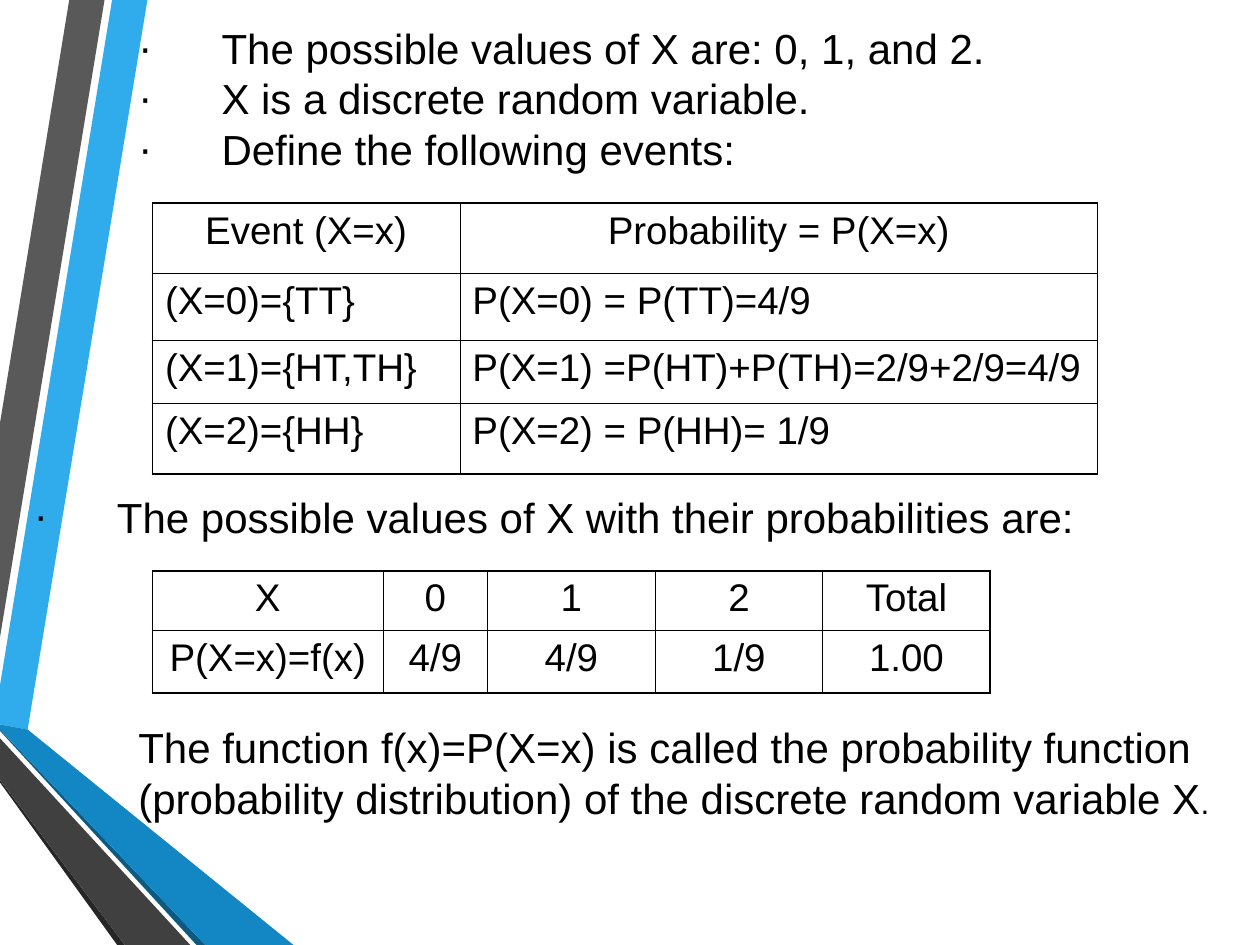
from dataclasses import dataclass
from itertools import product

from lxml.etree import SubElement
from pptx import Presentation
from pptx.dml.color import RGBColor
from pptx.enum.text import MSO_AUTO_SIZE as AutoSize, PP_ALIGN as Align
from pptx.oxml.ns import qn
from pptx.util import Emu, Inches, Pt

# The slide is a grid of 100 columns by 75 rows with square cells
COLUMNS, ROWS = 100, 75
CELL = Inches(10) // COLUMNS


@dataclass(frozen=True)
class Theme:
    font: str = "Arial"
    ink: str = "000000"
    body_size: float = 24
    table_size: float = 22
    small_size: float = 18
    outer_line: float = 1.08
    inner_line: float = 0.45
    hanging: float = 6.6  # grid columns from bullet to text


@dataclass(frozen=True)
class Ribbon:
    color: str
    points: tuple[tuple[float, float], ...]


@dataclass(frozen=True)
class TextBlock:
    column: float
    row: float
    width: float
    height: float
    lines: tuple[str, ...]
    bulleted: bool = True
    small_ending: str = ""


@dataclass(frozen=True)
class Grid:
    column: float
    row: float
    widths: tuple[float, ...]
    heights: tuple[float, ...]
    values: tuple[tuple[str, ...], ...]
    centered_rows: int


THEME = Theme()

RIBBONS = (
    Ribbon("30ACEC", ((0, 54.4), (0, 57.5), (2.2, 57.9), (11.7, 0), (8.9, 0))),
    Ribbon("595959", ((8.3, 0), (5.5, 0), (0, 33.6), (0, 50.6))),
    Ribbon("262626", ((0, 61.9), (0, 62.1), (9.3, 75), (9.9, 75))),
    Ribbon("0C5A82", ((0, 57.9), (0, 58), (15.6, 75), (16.3, 75))),
    Ribbon("1287C3", ((0, 57.9), (16.3, 75), (23.3, 75), (2.2, 57.9), (0, 57.5))),
    Ribbon("404040", ((0, 61.9), (9.9, 75), (15.1, 75), (0, 58.6))),
)

TEXT_BLOCKS = (
    TextBlock(10, 1.3, 85.8, 13, (
        "The possible values of X are: 0, 1, and 2.",
        "X is a discrete random variable.",
        "Define the following events:",
    )),
    TextBlock(1.7, 38.5, 95.8, 5,
              ("The possible values of X with their probabilities are:",)),
    TextBlock(10, 56.8, 93.3, 9, (
        "The function f(x)=P(X=x) is called the probability function",
        "(probability distribution) of the discrete random variable X",
    ), bulleted=False, small_ending="."),
)

TABLES = (
    Grid(12.1, 16.1, (24.4, 50.6), (5.6, 5.3, 5, 5.6), (
        ("Event (X=x)", "Probability = P(X=x)"),
        ("(X=0)={TT}", "P(X=0) = P(TT)=4/9"),
        ("(X=1)={HT,TH}", "P(X=1) =P(HT)+P(TH)=2/9+2/9=4/9"),
        ("(X=2)={HH}", "P(X=2) = P(HH)= 1/9"),
    ), centered_rows=1),
    Grid(12.1, 45.3, (18.3, 8.3, 13.3, 13.3, 13.3), (4.7, 5), (
        ("X", "0", "1", "2", "Total"),
        ("P(X=x)=f(x)", "4/9", "4/9", "1/9", "1.00"),
    ), centered_rows=2),
)


def cells(count: float) -> Emu:
    """Turn a number of grid cells into a length."""
    return Emu(round(count * CELL))


def write(para, text: str, *, size: float, align=None) -> None:
    if align is not None:
        para.alignment = align
    span = para.add_run()
    span.text = text
    span.font.name = THEME.font
    span.font.size = Pt(size)
    span.font.color.rgb = RGBColor.from_string(THEME.ink)


def add_bullet(para) -> None:
    props = para._p.get_or_add_pPr()
    props.set("marL", str(cells(THEME.hanging)))
    props.set("indent", str(-cells(THEME.hanging)))
    SubElement(props, qn("a:buFont"), typeface=THEME.font)
    SubElement(props, qn("a:buChar"), char="·")


def draw_ribbon(slide, ribbon: Ribbon) -> None:
    start, *rest = [(cells(x), cells(y)) for x, y in ribbon.points]
    builder = slide.shapes.build_freeform(*start)
    builder.add_line_segments(rest, close=True)
    shape = builder.convert_to_shape()
    shape.shadow.inherit = False
    shape.fill.solid()
    shape.fill.fore_color.rgb = RGBColor.from_string(ribbon.color)
    shape.line.fill.background()


def draw_text(slide, block: TextBlock) -> None:
    box = slide.shapes.add_textbox(cells(block.column), cells(block.row),
                                   cells(block.width), cells(block.height))
    frame = box.text_frame
    frame.word_wrap = True
    frame.auto_size = AutoSize.SHAPE_TO_FIT_TEXT
    for index, line in enumerate(block.lines):
        para = frame.add_paragraph() if index else frame.paragraphs[0]
        if block.bulleted:
            add_bullet(para)
        write(para, line, size=THEME.body_size, align=Align.JUSTIFY)
    if block.small_ending:
        write(para, block.small_ending, size=THEME.small_size)


def set_borders(cell, outer_sides: dict[str, bool]) -> None:
    props = cell._tc.get_or_add_tcPr()
    for side, is_outer in outer_sides.items():
        width = THEME.outer_line if is_outer else THEME.inner_line
        line = SubElement(props, qn(f"a:ln{side}"), w=str(Pt(width)))
        fill = SubElement(line, qn("a:solidFill"))
        SubElement(fill, qn("a:srgbClr"), val=THEME.ink)


def draw_table(slide, grid: Grid) -> None:
    row_count, column_count = len(grid.heights), len(grid.widths)
    table = slide.shapes.add_table(
        row_count, column_count, cells(grid.column), cells(grid.row),
        cells(sum(grid.widths)), cells(sum(grid.heights))).table
    table.first_row = table.horz_banding = False
    for column, width in zip(table.columns, grid.widths):
        column.width = cells(width)
    for row, height in zip(table.rows, grid.heights):
        row.height = cells(height)
    for r, c in product(range(row_count), range(column_count)):
        cell = table.cell(r, c)
        set_borders(cell, {"L": c == 0, "R": c == column_count - 1,
                           "T": r == 0, "B": r == row_count - 1})
        cell.fill.background()
        write(cell.text_frame.paragraphs[0], grid.values[r][c], size=THEME.table_size,
              align=Align.CENTER if r < grid.centered_rows else Align.LEFT)


def main() -> None:
    deck = Presentation()
    deck.slide_width, deck.slide_height = cells(COLUMNS), cells(ROWS)
    slide = deck.slides.add_slide(deck.slide_layouts[6])

    # Folded ribbons along the left edge
    for ribbon in RIBBONS:
        draw_ribbon(slide, ribbon)

    # Statements and probability tables
    for block in TEXT_BLOCKS:
        draw_text(slide, block)
    for grid in TABLES:
        draw_table(slide, grid)

    deck.save("out.pptx")


if __name__ == "__main__":
    main()
